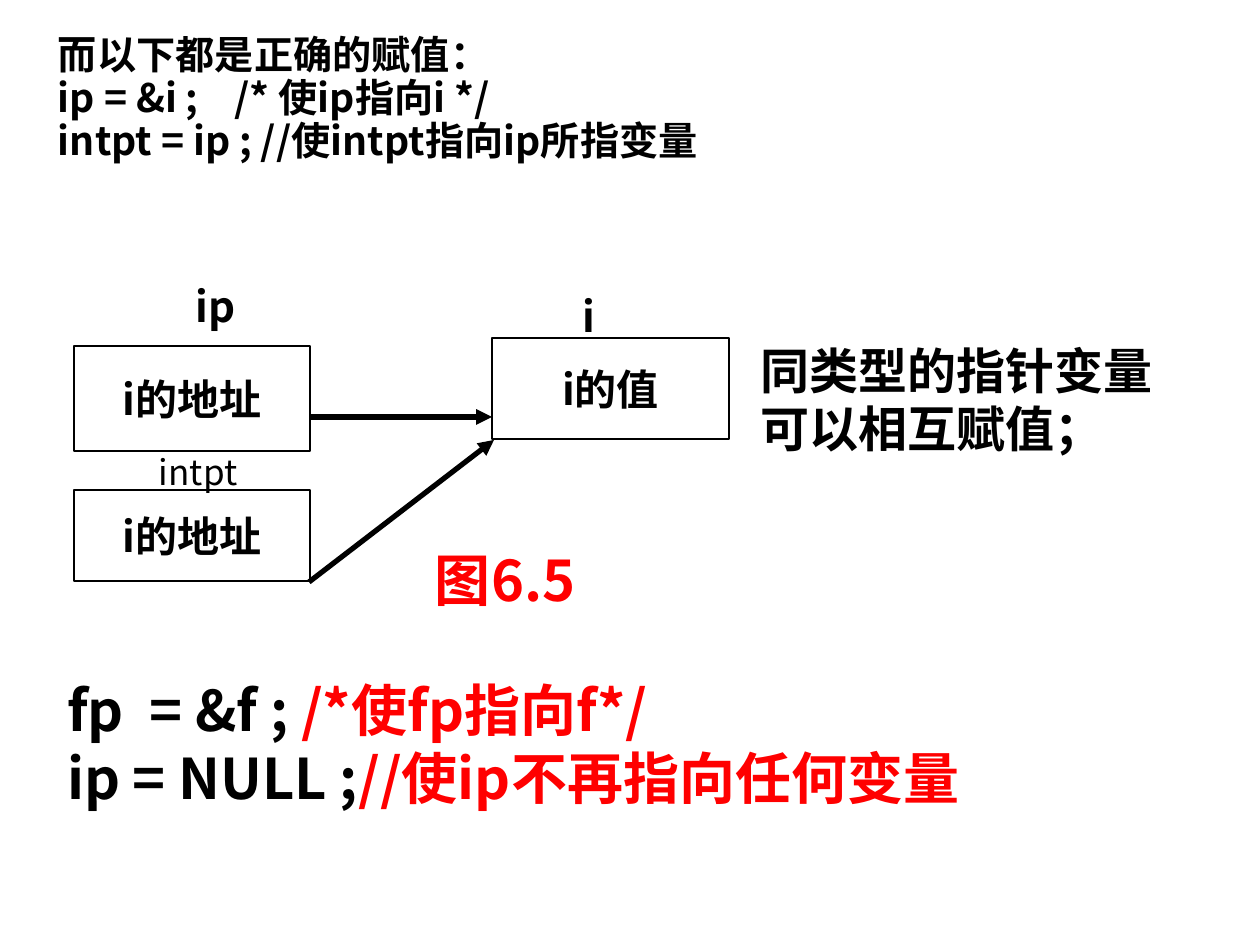
import pptx
import pptx.dml.color
import pptx.enum.shapes
import pptx.enum.text
import pptx.oxml.ns
import pptx.util
from lxml import etree

FONT = "Noto Sans CJK SC"
COLORS = {"ink": "000000", "accent": "FF0000"}


def px(length):
    """Turn slide pixels into EMU."""
    return pptx.util.Emu(round(length * 914400 / 126))


def rgb(key):
    """Look up a named colour."""
    return pptx.dml.color.RGBColor.from_string(COLORS[key])


def fill_text(frame, lines, size, bold=True, wrap=True, inset=6):
    """Write lines of (text, colour) runs and return the paragraphs."""
    frame.word_wrap = wrap
    frame.margin_left = frame.margin_right = px(13)
    frame.margin_top = frame.margin_bottom = px(inset)
    for number, line in enumerate(lines):
        paragraph = frame.add_paragraph() if number else frame.paragraphs[0]
        for text, color in line:
            run = paragraph.add_run()
            run.text = text
            run.font.size = pptx.util.Pt(size)
            run.font.bold = bold
            run.font.color.rgb = rgb(color)
            run.font.name = FONT
            east_asian = etree.SubElement(run.font._element, pptx.oxml.ns.qn("a:ea"))
            east_asian.set("typeface", FONT)
    return frame.paragraphs


def add_text(slide, place, lines, size, **options):
    """Add a text box and return its paragraphs."""
    box = slide.shapes.add_textbox(*map(px, place))
    return fill_text(box.text_frame, lines, size, **options)


def add_cell(slide, place, content):
    """Add an outlined memory cell with centred content."""
    cell = slide.shapes.add_shape(
        pptx.enum.shapes.MSO_SHAPE.RECTANGLE, *map(px, place))
    cell.shadow.inherit = False
    cell.fill.background()
    cell.line.color.rgb = rgb("ink")
    cell.line.width = pptx.util.Pt(0.75)
    cell.text_frame.vertical_anchor = pptx.enum.text.MSO_ANCHOR.MIDDLE
    paragraphs = fill_text(cell.text_frame, [[(content, "ink")]], 24, wrap=False)
    paragraphs[0].alignment = pptx.enum.text.PP_ALIGN.CENTER


def add_arrow(slide, start, end):
    """Add a thick pointer arrow."""
    arrow = slide.shapes.add_connector(
        pptx.enum.shapes.MSO_CONNECTOR.STRAIGHT, *map(px, start + end))
    arrow.line.color.rgb = rgb("ink")
    arrow.line.width = pptx.util.Pt(3)
    head = etree.SubElement(arrow.line._get_or_add_ln(), pptx.oxml.ns.qn("a:tailEnd"))
    head.set("type", "triangle")
    etree.SubElement(arrow._element.spPr, pptx.oxml.ns.qn("a:effectLst"))


def main():
    """Build the pointer assignment slide."""
    deck = pptx.Presentation()
    deck.slide_width, deck.slide_height = px(1260), px(945)
    slide = deck.slides.add_slide(deck.slide_layouts[6])

    assignments = add_text(slide, (45, 35, 1091, 228), [
        [("而以下都是正确的赋值：", "ink")],
        [("ip = &i ;    /* 使ip指向i */", "ink")],
        [("intpt = ip ; //使intpt指向ip所指变量", "ink")],
    ], 22.4, inset=4)
    for number, paragraph in enumerate(assignments):
        paragraph.line_spacing = 0.8
        paragraph.space_before = pptx.util.Pt(3.2 if number else 0)

    add_text(slide, (748, 334, 456, 131),
             [[("同类型的指针变量可以相互赋值；", "ink")]], 28)
    add_text(slide, (54, 670, 1012, 214), [
        [("fp  = &f ; ", "ink"), ("/*使fp指向f*/", "accent")],
        [("ip = NULL ;", "ink"), ("//使ip不再指向任何变量", "accent")],
    ], 32)

    for place, content in (
        ((74, 346, 236, 105), "i的地址"),
        ((492, 338, 237, 101), "i的值"),
        ((74, 490, 236, 91), "i的地址"),
    ):
        add_cell(slide, place, content)
    for place, variable in (((183, 275, 76, 63), "ip"), ((570, 285, 50, 63), "i")):
        add_text(slide, place, [[(variable, "ink")]], 24, wrap=False)
    add_text(slide, (146, 444, 164, 55), [[("intpt", "ink")]], 20, bold=False)

    add_arrow(slide, (310, 417), (492, 417))
    add_arrow(slide, (309, 582), (494, 440))
    add_text(slide, (422, 539, 204, 81), [[("图6.5", "accent")]], 32)
    deck.save("out.pptx")


if __name__ == "__main__":
    main()
